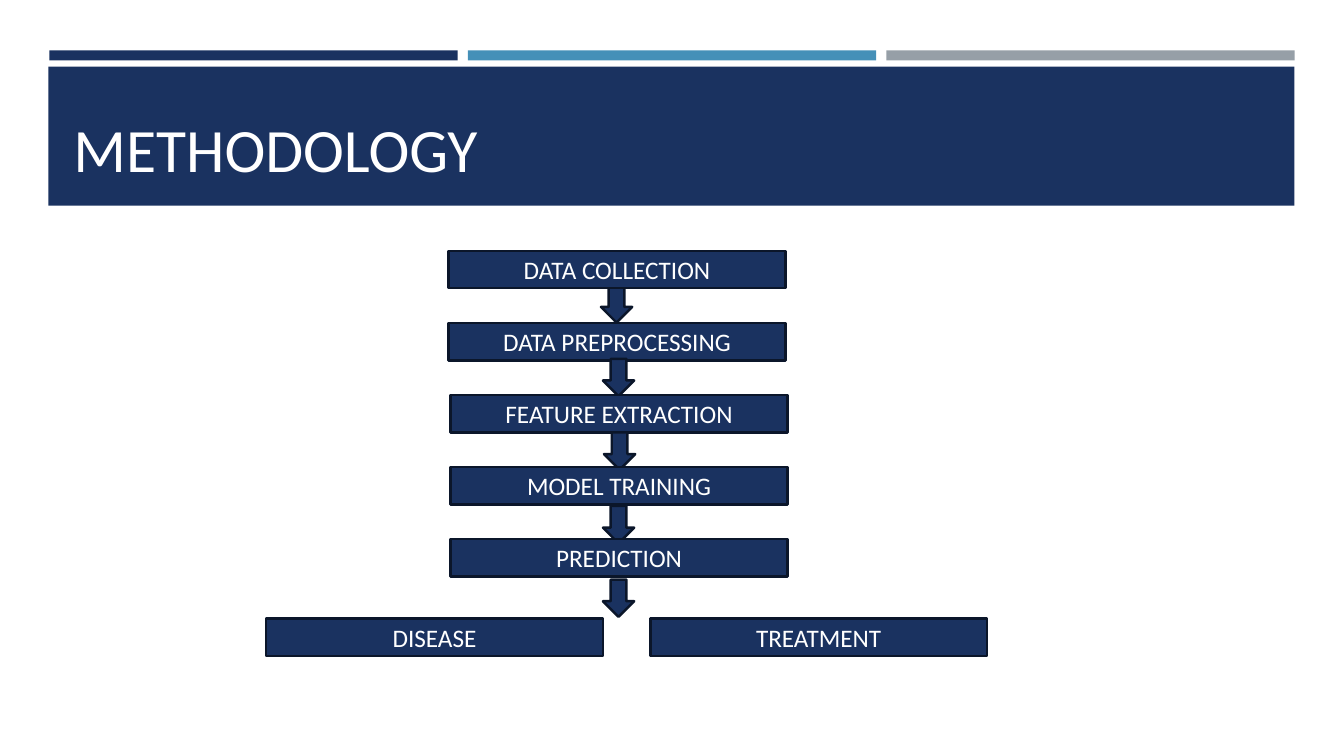
from pptx import Presentation
from pptx.dml.color import RGBColor
from pptx.enum.shapes import MSO_SHAPE
from pptx.enum.text import MSO_ANCHOR, PP_ALIGN
from pptx.util import Inches, Pt

COLORS = {
    "navy": "1A3260",
    "blue": "4590B8",
    "grey": "969FA7",
    "outline": "0B162A",
    "white": "FFFFFF",
}
FONT = "Calibri"

# Grid, in inches
BAR_LEFT, BAR_PITCH, BAR_WIDTH = 0.49, 4.15, 4.05
FLOW_TOP, FLOW_PITCH = 2.49, 0.715
ARROW_TOP, ARROW_PITCH, ARROW_WIDTH = 2.83, 0.73, 0.31
STEP_WIDTH, STEP_HEIGHT = 3.34, 0.37
OUTCOME_LEFT, OUTCOME_PITCH, OUTCOME_ROW = 2.64, 3.81, 5.1

# Each step: label and left edge
STEPS = [
    ("DATA COLLECTION", 4.45),
    ("DATA PREPROCESSING", 4.45),
    ("FEATURE EXTRACTION", 4.47),
    ("MODEL TRAINING", 4.47),
    ("PREDICTION", 4.47),
]
ARROW_LEFTS = [5.96, 5.98, 5.99, 5.98, 5.98]
OUTCOMES = ["DISEASE", "TREATMENT"]


def color(name):
    return RGBColor.from_string(COLORS[name])


def flow_row(row):
    return FLOW_TOP + row * FLOW_PITCH


def add_text(box, text, size=18, align=PP_ALIGN.CENTER, anchor=MSO_ANCHOR.MIDDLE):
    frame = box.text_frame
    frame.word_wrap = True
    frame.vertical_anchor = anchor
    para = frame.paragraphs[0]
    para.alignment = align
    span = para.add_run()
    span.text = text
    span.font.name = FONT
    span.font.size = Pt(size)
    span.font.color.rgb = color("white")


def add_block(page, kind, left, top, width, height, fill="navy", outlined=False):
    block = page.shapes.add_shape(
        kind, Inches(left), Inches(top), Inches(width), Inches(height))
    block.shadow.inherit = False
    block.fill.solid()
    block.fill.fore_color.rgb = color(fill)
    if outlined:
        block.line.color.rgb = color("outline")
        block.line.width = Pt(1.75)
    else:
        block.line.fill.background()
    return block


def add_step(page, label, left, row):
    box = add_block(page, MSO_SHAPE.RECTANGLE, left, flow_row(row),
                    STEP_WIDTH, STEP_HEIGHT, outlined=True)
    add_text(box, label)


def add_arrow(page, index):
    add_block(page, MSO_SHAPE.DOWN_ARROW, ARROW_LEFTS[index],
              ARROW_TOP + index * ARROW_PITCH, ARROW_WIDTH, STEP_HEIGHT,
              outlined=True)


def add_header(page):
    for column, fill in enumerate(["navy", "blue", "grey"]):
        add_block(page, MSO_SHAPE.RECTANGLE, BAR_LEFT + column * BAR_PITCH, 0.5,
                  BAR_WIDTH, 0.1, fill)
    add_block(page, MSO_SHAPE.RECTANGLE, 0.48, 0.66, 12.36, 1.38)
    title = page.shapes.add_textbox(
        Inches(0.63), Inches(0.8), Inches(12.06), Inches(1.08))
    add_text(title, "METHODOLOGY", size=44, align=PP_ALIGN.LEFT,
             anchor=MSO_ANCHOR.BOTTOM)


def add_flow(page):
    # Each arrow tip goes behind the step it leads to
    for row, (label, left) in enumerate(STEPS[1:], start=1):
        add_arrow(page, row - 1)
        add_step(page, label, left, row)
    # The first step covers the tail of its arrow
    add_step(page, *STEPS[0], row=0)
    # Outcomes, side by side
    add_arrow(page, len(STEPS) - 1)
    for column, label in enumerate(OUTCOMES):
        add_step(page, label, OUTCOME_LEFT + column * OUTCOME_PITCH, OUTCOME_ROW)


def main():
    deck = Presentation()
    deck.slide_width, deck.slide_height = Inches(13.33), Inches(7.5)
    page = deck.slides.add_slide(deck.slide_layouts[6])
    add_header(page)
    add_flow(page)
    deck.save("out.pptx")


if __name__ == "__main__":
    main()
